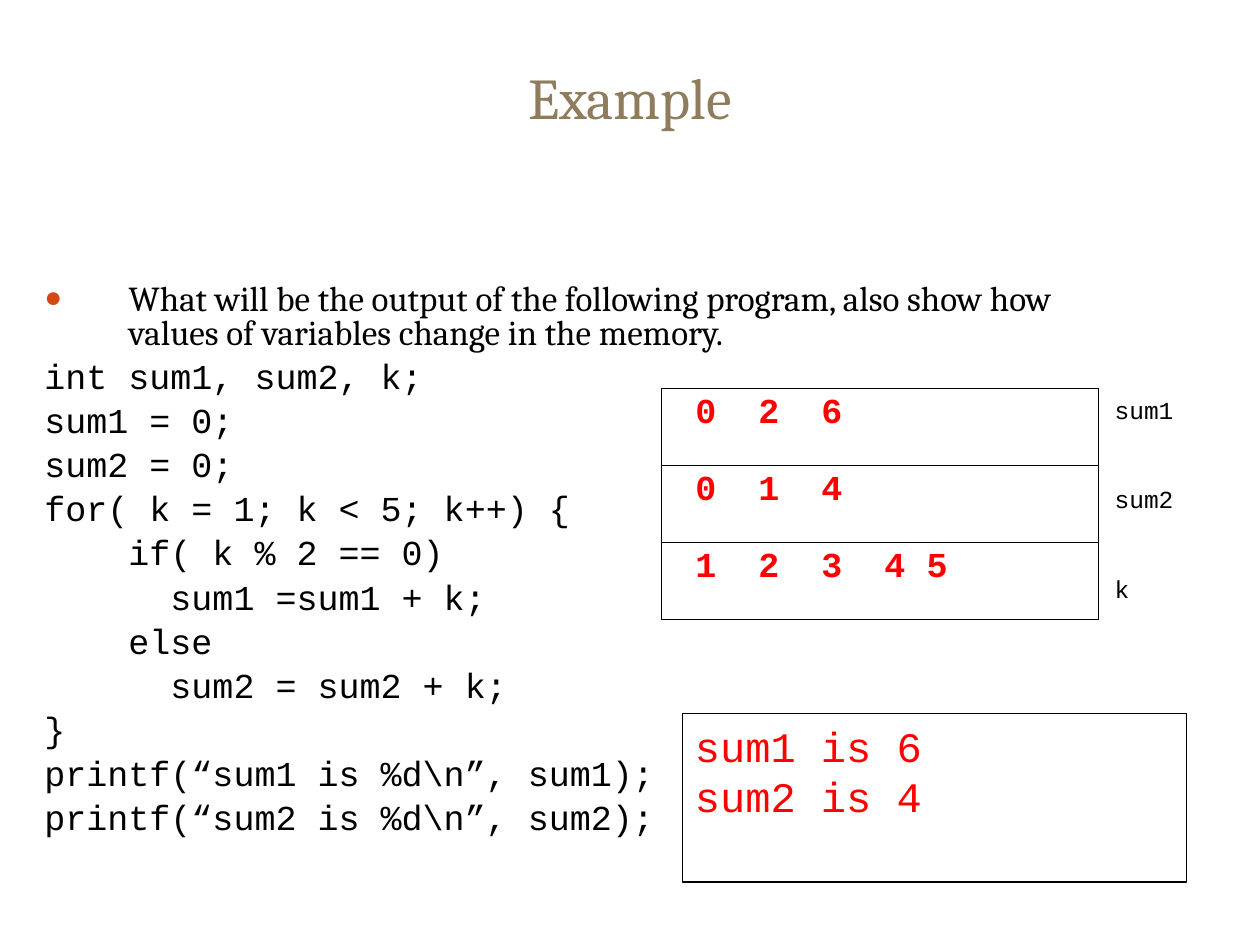
from dataclasses import dataclass

from lxml import etree
from pptx import Presentation
from pptx import util as u
from pptx.dml.color import RGBColor
from pptx.enum import shapes, text
from pptx.oxml import ns

BLACK = RGBColor(0x00, 0x00, 0x00)
WHITE = RGBColor(0xFF, 0xFF, 0xFF)
RED = RGBColor(0xFF, 0x00, 0x00)
TAN = RGBColor(0x8E, 0x7C, 0x5C)
ORANGE = RGBColor(0xD3, 0x48, 0x17)
SERIF, MONO = "Cambria", "Courier New"

QUESTION = ("What will be the output of the following program, "
            "also show how values of variables change in the memory.")
CODE = """int sum1, sum2, k;
sum1 = 0;
sum2 = 0;
for( k = 1; k < 5; k++) {
    if( k % 2 == 0)
      sum1 =sum1 + k;
    else
      sum2 = sum2 + k;
}
printf(“sum1 is %d\\n”, sum1);
printf(“sum2 is %d\\n”, sum2);""".split("\n")


@dataclass(frozen=True)
class Variable:
    name: str
    history: str


VARIABLES = [
    Variable("sum1", "0\t2\t6"),
    Variable("sum2", "0\t1\t4"),
    Variable("k", "1\t2\t3\t4 5"),
]


def box(left: float, top: float, width: float, height: float) -> tuple:
    return tuple(u.Cm(value) for value in (left, top, width, height))


def place(shape, left: float, top: float, width: float, height: float) -> None:
    shape.left, shape.top, shape.width, shape.height = box(left, top, width, height)


def sub(parent, tag: str, **attributes: str):
    return etree.SubElement(parent, ns.qn(tag), attributes)


def write(frame, lines: list[str], *, size: float, font: str = MONO,
          color: RGBColor = BLACK, bold: bool = False, align=text.PP_ALIGN.LEFT,
          gap: float = 0, spacing: float | None = None) -> list:
    """Fill a text frame, one paragraph a line, and return the paragraphs."""
    frame.word_wrap = True
    paragraphs = []
    for index, line in enumerate(lines):
        paragraph = frame.add_paragraph() if index else frame.paragraphs[0]
        paragraph.alignment = align
        paragraph.space_before = u.Pt(gap if index else 0)
        if spacing:
            paragraph.line_spacing = spacing
        run = paragraph.add_run()
        run.text = line
        run.font.name, run.font.size = font, u.Pt(size)
        run.font.bold, run.font.color.rgb = bold, color
        paragraphs.append(paragraph)
    return paragraphs


def hang(paragraph, bullet: str | None = None) -> None:
    """Give a hanging indent, with a bullet or none."""
    properties = paragraph._p.get_or_add_pPr()
    indent = u.Cm(1.7)
    properties.set("marL", str(indent))
    properties.set("indent", str(-indent))
    if bullet is None:
        sub(properties, "a:buNone")
        return
    sub(sub(properties, "a:buClr"), "a:srgbClr", val=str(ORANGE))
    sub(properties, "a:buSzPct", val="85000")
    sub(properties, "a:buChar", char=bullet)


def add_tab_stops(paragraph, step: float, count: int) -> None:
    stops = sub(paragraph._p.get_or_add_pPr(), "a:tabLst")
    for number in range(1, count + 1):
        sub(stops, "a:tab", pos=str(u.Cm(step * number)), algn="l")


def outline(cell, width: float) -> None:
    for side in ("L", "R", "T", "B"):
        line = sub(cell._tc.get_or_add_tcPr(), f"a:ln{side}", w=str(u.Pt(width)))
        sub(sub(line, "a:solidFill"), "a:srgbClr", val=str(BLACK))


def add_memory_table(slide, variables: list[Variable]) -> None:
    table = slide.shapes.add_table(
        len(variables), 1, *box(13.34, 7.83, 8.81, 4.65)).table
    table.first_row = table.horz_banding = False
    for row, variable in enumerate(variables):
        cell = table.cell(row, 0)
        outline(cell, 0.45)
        cell.fill.background()
        cell.margin_left = u.Cm(0.68)
        history = write(cell.text_frame, [variable.history],
                        size=20, color=RED, bold=True)[0]
        add_tab_stops(history, 1.27, 3)


def add_variable_names(slide, variables: list[Variable]) -> None:
    names = slide.shapes.add_textbox(*box(22.22, 7.83, 1.85, 4.65))
    write(names.text_frame, [v.name for v in variables], size=14, gap=34.4)


def add_output(slide, lines: list[str]) -> None:
    screen = slide.shapes.add_shape(
        shapes.MSO_SHAPE.RECTANGLE, *box(13.76, 14.39, 10.16, 3.39))
    screen.shadow.inherit = False
    screen.fill.solid()
    screen.fill.fore_color.rgb = WHITE
    screen.line.color.rgb = BLACK
    screen.line.width = u.Pt(0.75)
    screen.text_frame.vertical_anchor = text.MSO_ANCHOR.TOP
    write(screen.text_frame, lines, size=24, color=RED)


def main() -> None:
    deck = Presentation()
    deck.slide_width, deck.slide_height = u.Cm(25.4), u.Cm(19.05)
    slide = deck.slides.add_slide(deck.slide_layouts[1])

    title = slide.shapes.title
    place(title, 0.85, 0.64, 23.7, 2.12)
    title.text_frame.auto_size = text.MSO_AUTO_SIZE.NONE
    title.text_frame.vertical_anchor = text.MSO_ANCHOR.BOTTOM
    write(title.text_frame, ["Example"], size=33, font=SERIF, color=TAN,
          align=text.PP_ALIGN.CENTER)

    body = slide.placeholders[1]
    place(body, 0.64, 5.61, 21.59, 11.43)
    body.text_frame.auto_size = text.MSO_AUTO_SIZE.NONE
    question, *program = write(body.text_frame, [QUESTION, *CODE],
                               size=20, gap=6, spacing=0.8)
    question.runs[0].font.name = SERIF
    hang(question, "●")
    for statement in program:
        hang(statement)

    add_memory_table(slide, VARIABLES)
    add_variable_names(slide, VARIABLES)
    add_output(slide, ["sum1 is 6", "sum2 is 4"])
    deck.save("out.pptx")


if __name__ == "__main__":
    main()
